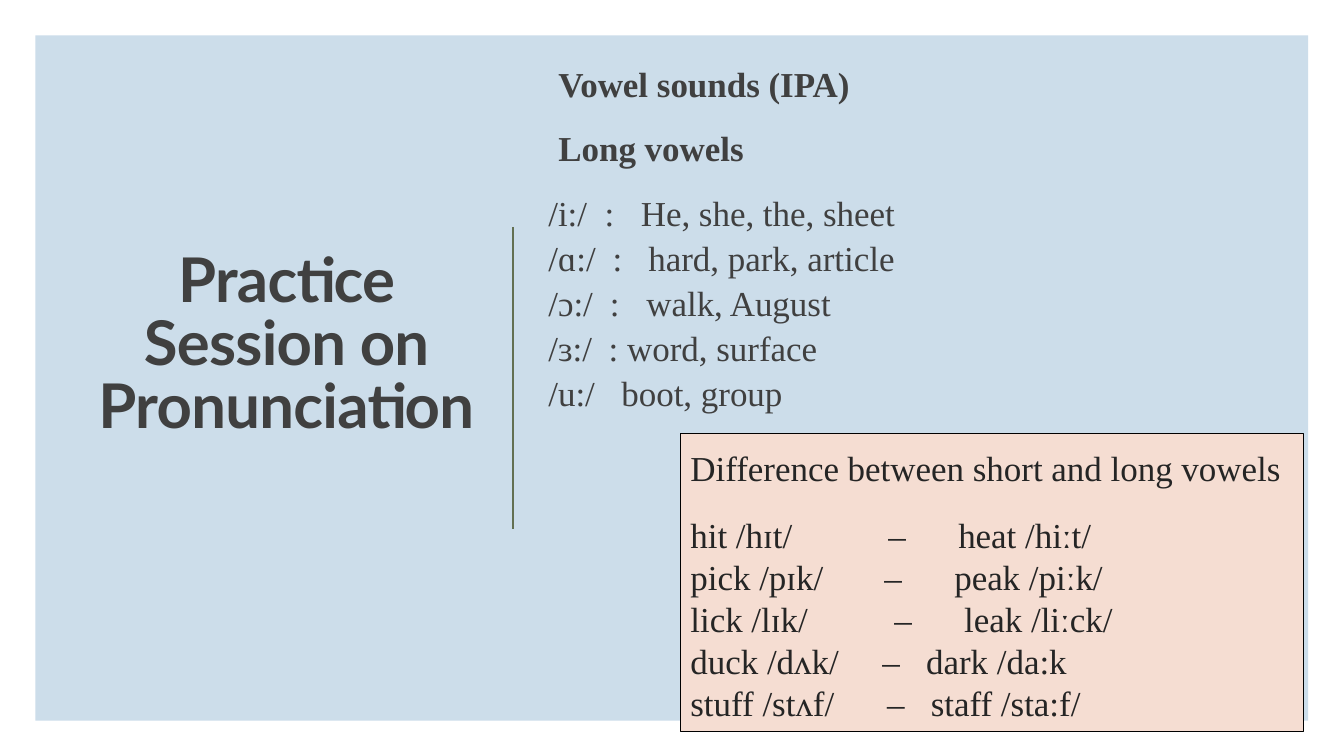
from dataclasses import dataclass

from lxml import etree
from pptx import Presentation
from pptx import util as u
from pptx.dml.color import RGBColor
from pptx.enum import shapes, text
from pptx.oxml import ns

COLORS = {
    "panel": "CCDDEA",
    "rule": "637052",
    "body": "404040",
    "card": "F5DDD2",
    "card_line": "000000",
    "card_text": "252525",
}
SERIF = "Times New Roman"


@dataclass
class Area:
    left: float
    top: float
    width: float
    height: float

    def lengths(self) -> list:
        return [u.Cm(side) for side in (self.left, self.top, self.width, self.height)]


@dataclass
class Row:
    cells: list[str]
    stops: list[float]


HEADINGS = ["Vowel sounds (IPA)", "Long vowels"]
LONG_VOWELS = [
    Row(["/i:/", ":", "He, she, the, sheet"], [1.42, 2.33]),
    Row(["/ɑ:/", ":", "hard, park, article"], [1.62, 2.52]),
    Row(["/ɔ:/", ":", "walk, August"], [1.55, 2.47]),
    Row(["/ɜ:/", ": word, surface"], [1.52]),
    Row(["/u:/", "boot, group"], [1.84]),
]
VOWEL_PAIRS = [
    Row(["hit /hɪt/", "–", "heat /hiːt/"], [4.99, 6.75]),
    Row(["pick /pɪk/", "–", "peak /piːk/"], [4.89, 6.65]),
    Row(["lick /lɪk/", "–", "leak /liːck/"], [5.14, 6.9]),
    Row(["duck /dʌk/", "–", "dark /da:k"], [4.84, 5.94]),
    Row(["stuff /stʌf/", "–", "staff /sta:f/"], [4.96, 6.06]),
]


def rgb(name: str) -> RGBColor:
    return RGBColor.from_string(COLORS[name])


def add_block(page, area: Area, fill: str, line: str | None = None):
    block = page.shapes.add_shape(shapes.MSO_SHAPE.RECTANGLE, *area.lengths())
    block.shadow.inherit = False
    block.fill.solid()
    block.fill.fore_color.rgb = rgb(fill)
    if line:
        block.line.color.rgb = rgb(line)
        block.line.width = u.Pt(0.75)
    else:
        block.line.fill.background()
    return block


def set_frame(box, left: float = 0.25, top: float = 0.13, right: float = 0.25,
              bottom: float = 0.13, anchor=text.MSO_ANCHOR.TOP):
    frame = box.text_frame
    frame.word_wrap = True
    frame.vertical_anchor = anchor
    frame.margin_left, frame.margin_right = u.Cm(left), u.Cm(right)
    frame.margin_top, frame.margin_bottom = u.Cm(top), u.Cm(bottom)
    return frame


def add_para(frame, content: str, *, color: str, size: float = 25, font: str = SERIF,
             bold: bool = False, align=text.PP_ALIGN.LEFT, line=1.0, before: float = 0,
             after: float = 0, indent: float = 0, stops=(), tracking: int = 0) -> None:
    para = frame.paragraphs[0]
    if para.runs:
        para = frame.add_paragraph()
    para.alignment = align
    para.line_spacing = line
    para.space_before, para.space_after = u.Pt(before), u.Pt(after)
    properties = para._p.get_or_add_pPr()
    properties.set("marL", str(u.Cm(indent)))
    if stops:
        tabs = etree.SubElement(properties, ns.qn("a:tabLst"))
        for stop in stops:
            etree.SubElement(tabs, ns.qn("a:tab"), pos=str(u.Cm(stop)), algn="l")
    span = para.add_run()
    span.text = content
    span.font.name, span.font.size, span.font.bold = font, u.Pt(size), bold
    span.font.color.rgb = rgb(color)
    if tracking:
        span.font._element.set("spc", str(tracking))


def add_rule(page, x: float, top: float, bottom: float) -> None:
    rule = page.shapes.add_connector(
        shapes.MSO_CONNECTOR.STRAIGHT, u.Cm(x), u.Cm(top), u.Cm(x), u.Cm(bottom))
    rule.line.color.rgb = rgb("rule")
    rule.line.width = u.Pt(1.5)
    etree.SubElement(rule._element.spPr, ns.qn("a:effectLst"))


def add_title(page) -> None:
    box = page.shapes.add_textbox(*Area(1.83, 2.67, 10.77, 13.72).lengths())
    frame = set_frame(box, bottom=1.71, anchor=text.MSO_ANCHOR.MIDDLE)
    add_para(frame, "Practice Session on Pronunciation", color="body", size=44, font="Lato",
             bold=True, align=text.PP_ALIGN.CENTER, line=0.85, tracking=-50)


def add_long_vowels(page) -> None:
    box = page.shapes.add_textbox(*Area(13.82, 1.37, 19.02, 15.88).lengths())
    frame = set_frame(box, left=0, right=0)
    for index, heading in enumerate(HEADINGS):
        add_para(frame, heading, color="body", bold=True, line=1.07,
                 before=12 if index else 0, after=2, indent=0.25)
    for index, row in enumerate(LONG_VOWELS):
        add_para(frame, "\t".join(row.cells), color="body", line=1.07,
                 before=0 if index else 12, stops=row.stops)


def add_vowel_pairs(page) -> None:
    card = add_block(page, Area(17.15, 10.92, 15.7, 7.52), "card", "card_line")
    frame = set_frame(card, top=0.76)
    add_para(frame, "Difference between short and long vowels", color="card_text",
             line=u.Pt(18), after=18)
    for row in VOWEL_PAIRS:
        add_para(frame, "\t".join(row.cells), color="card_text", stops=row.stops)


def main() -> None:
    deck = Presentation()
    deck.slide_width, deck.slide_height = u.Cm(33.87), u.Cm(19.05)
    page = deck.slides.add_slide(deck.slide_layouts[6])
    add_block(page, Area(0.89, 0.89, 32.08, 17.27), "panel")
    add_title(page)
    add_rule(page, 12.93, 5.72, 13.34)
    add_long_vowels(page)
    add_vowel_pairs(page)
    deck.save("out.pptx")


if __name__ == "__main__":
    main()
